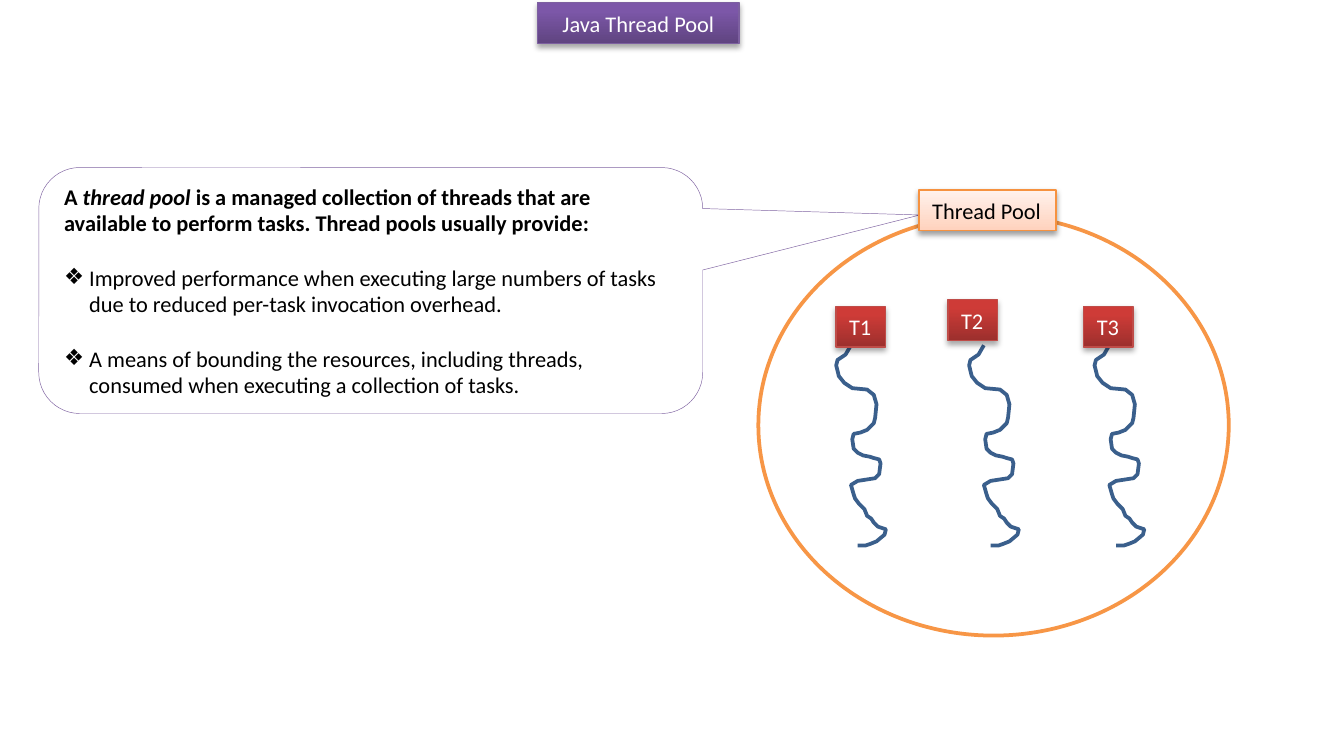
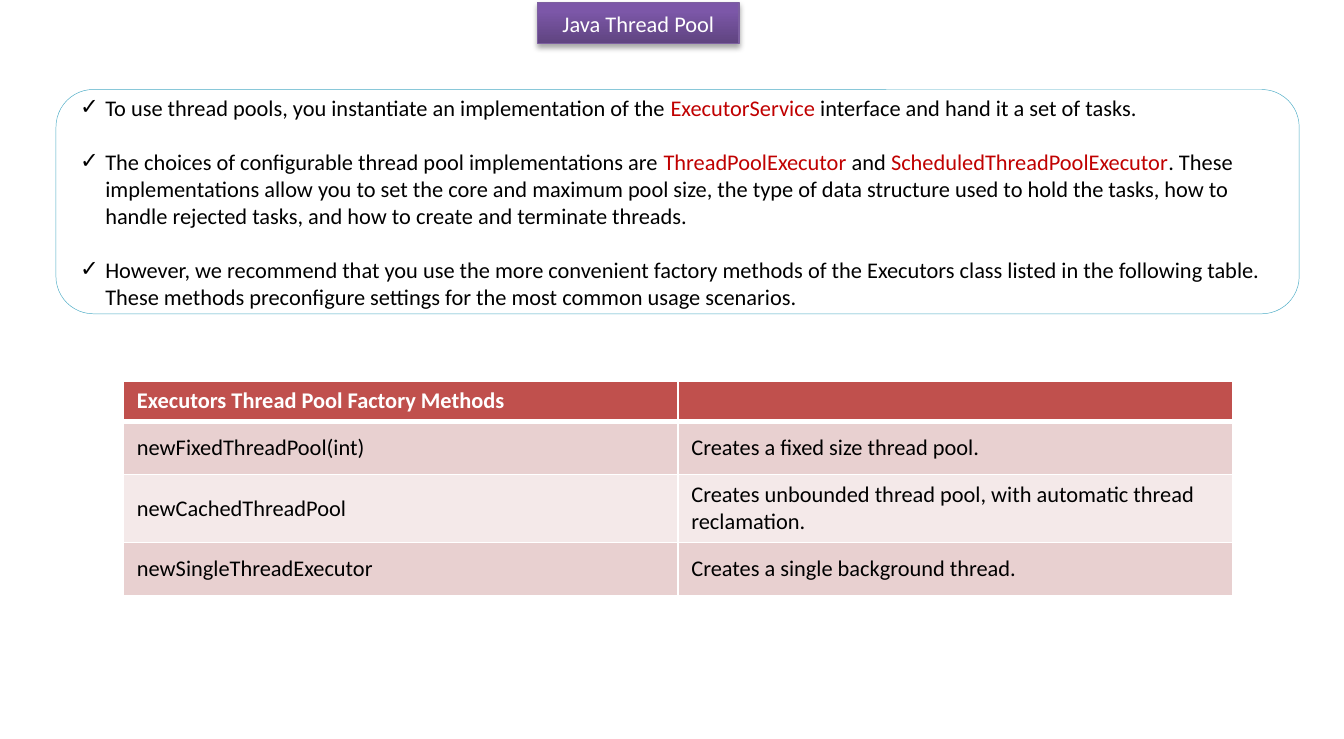
from dataclasses import dataclass

from lxml.etree import SubElement
from pptx import Presentation
from pptx.dml.color import RGBColor
from pptx.enum.shapes import MSO_SHAPE
from pptx.enum.text import MSO_ANCHOR, MSO_AUTO_SIZE, PP_ALIGN
from pptx.oxml.ns import qn
from pptx.util import Pt


@dataclass(frozen=True)
class Theme:
    font: str = "Calibri"
    size: float = 12
    gap: float = 14.6
    hang: float = 13.5
    white: str = "FFFFFF"
    black: str = "000000"
    key: str = "C00000"
    ring: str = "F79646"
    thread: str = "3A5F8C"
    call: str = "8064A2"
    panel: str = "4BACC6"
    head: str = "C0504D"
    bands: tuple = ("E8D0D0", "F4E9E9")
    purple: tuple = ("5F4480", "7C57A8", 0.8, "7D60A0", 35)
    red: tuple = ("9C2F2D", "CE3B37", 0.8, "BF4C48", 35)
    peach: tuple = ("FFD2BD", "FFF2ED", 1, "F69240", 38)


theme = Theme()
color = RGBColor.from_string


def style(para, ink, bold=False, align=PP_ALIGN.LEFT):
    para.alignment = align
    para.font.name = theme.font
    para.font.size = Pt(theme.size)
    para.font.bold = bold
    para.font.color.rgb = color(ink)


def badge(shape, text, look, ink, align=PP_ALIGN.LEFT):
    low, high, stop, edge, dim = look
    shape.fill.gradient()
    shape.fill.gradient_angle = 90
    first, last = shape.fill.gradient_stops
    first.color.rgb, first.position = color(low), 0
    last.color.rgb, last.position = color(high), stop
    shape.line.color.rgb = color(edge)
    shape.line.width = Pt(0.75)
    shape.shadow.inherit = False
    effect = shape._element.spPr.find(qn("a:effectLst"))
    shade = SubElement(effect, qn("a:outerShdw"), blurRad=str(Pt(3.1)),
                       dist=str(Pt(1.8)), dir="5400000", rotWithShape="0")
    tint = SubElement(shade, qn("a:srgbClr"), val=theme.black)
    SubElement(tint, qn("a:alpha"), val=str(dim * 1000))
    frame = shape.text_frame
    frame.text = text
    frame.auto_size = MSO_AUTO_SIZE.NONE
    frame.vertical_anchor = MSO_ANCHOR.MIDDLE
    frame.word_wrap = align == PP_ALIGN.CENTER
    style(frame.paragraphs[0], ink, align=align)


deck = Presentation()
deck.slide_width, deck.slide_height = Pt(720), Pt(396)

slides = [deck.slides.add_slide(deck.slide_layouts[5]) for _ in range(2)]
for slide in slides:
    title = slide.shapes.title
    title.left, title.top, title.width, title.height = Pt(288), Pt(1.5), Pt(108), Pt(21.8)
    badge(title, "Java Thread Pool", theme.purple, theme.white, PP_ALIGN.CENTER)
pool, usage = [slide.shapes for slide in slides]

ring = pool.add_shape(MSO_SHAPE.OVAL, Pt(406.3), Pt(115.2), Pt(252), Pt(225.4))
call = pool.add_shape(MSO_SHAPE.ROUNDED_RECTANGULAR_CALLOUT,
                      Pt(20.8), Pt(89.8), Pt(355.7), Pt(131.8))
for index, value in enumerate((0.827, -0.307, 0.167)):
    call.adjustments[index] = value
panel = usage.add_shape(MSO_SHAPE.ROUNDED_RECTANGLE, Pt(30), Pt(48), Pt(666), Pt(120.2))
for shape, edge, width in ((ring, theme.ring, 2), (call, theme.call, 0.25),
                           (panel, theme.panel, 0.25)):
    shape.shadow.inherit = False
    shape.fill.solid()
    shape.fill.fore_color.rgb = color(theme.white)
    shape.line.color.rgb = color(edge)
    shape.line.width = Pt(width)

curve = [
    (11, 0), (7, 7), (1, 11), (0, 15), (2, 23), (6, 28), (12, 32), (23, 33),
    (28, 37), (30, 44), (29, 54), (28, 58), (23, 63), (18, 65), (13, 66),
    (12, 70), (13, 77), (16, 80), (20, 82), (25, 83), (28, 84), (32, 85),
    (33, 88), (32, 96), (29, 99), (16, 101), (11, 104), (13, 111), (14, 114),
    (17, 118), (21, 122), (23, 127), (26, 129), (28, 132), (31, 135),
    (37, 137), (36, 141), (30, 146), (25, 148), (22, 149), (16, 149),
]
for left in (448, 519.2, 586.4):
    pen = pool.build_freeform(*curve[0], scale=Pt(0.72))
    pen.add_line_segments(curve[1:], close=False)
    thread = pen.convert_to_shape(Pt(left), Pt(185))
    thread.shadow.inherit = False
    thread.fill.background()
    thread.line.color.rgb = color(theme.thread)
    thread.line.width = Pt(2)

for text, left, top, width, look, ink in (
    ("T1", 447.8, 164.2, 26.6, theme.red, theme.white),
    ("T2", 507.8, 160.6, 26.6, theme.red, theme.white),
    ("T3", 580.5, 164.2, 26.6, theme.red, theme.white),
    ("Thread Pool", 492.3, 101.8, 73.5, theme.peach, theme.black),
):
    label = pool.add_shape(MSO_SHAPE.RECTANGLE, Pt(left), Pt(top), Pt(width), Pt(21.8))
    badge(label, text, look, ink)

notes = (
    (call, (
        ("", "A |thread pool| is a managed collection of threads that are available to "
             "perform tasks. Thread pools usually provide:"),
        ("❖", "Improved performance when executing large numbers of tasks due to reduced "
              "per-task invocation overhead."),
        ("❖", "A means of bounding the resources, including threads, consumed when "
              "executing a collection of tasks."),
    )),
    (panel, (
        ("✓", "To use thread pools, you instantiate an implementation of the "
              "|ExecutorService| interface and hand it a set of tasks."),
        ("✓", "The choices of configurable thread pool implementations are "
              "|ThreadPoolExecutor| and |ScheduledThreadPoolExecutor|. These "
              "implementations allow you to set the core and maximum pool size, the type "
              "of data structure used to hold the tasks, how to handle rejected tasks, "
              "and how to create and terminate threads."),
        ("✓", "However, we recommend that you use the more convenient factory methods of "
              "the Executors class listed in the following table. These methods "
              "preconfigure settings for the most common usage scenarios."),
    )),
)
for shape, items in notes:
    frame = shape.text_frame
    frame.word_wrap = True
    frame.vertical_anchor = MSO_ANCHOR.MIDDLE
    for row, (mark, text) in enumerate(items):
        para = frame.add_paragraph() if row else frame.paragraphs[0]
        if mark:
            props = para._p.get_or_add_pPr()
            props.set("marL", str(Pt(theme.hang)))
            props.set("indent", str(-Pt(theme.hang)))
            SubElement(props, qn("a:buFont"), typeface=theme.font)
            SubElement(props, qn("a:buChar"), char=mark)
        style(para, theme.black, bold=not mark)
        if row:
            para.space_before = Pt(theme.gap)
        for place, piece in enumerate(text.split("|")):
            run = para.add_run()
            run.text = piece
            if place % 2 and mark:
                run.font.color.rgb = color(theme.key)
            elif place % 2:
                run.font.italic = True

rows = (
    (21.9, "Executors Thread Pool Factory Methods", ""),
    (28.4, "newFixedThreadPool(int)", "Creates a fixed size thread pool."),
    (36.5, "newCachedThreadPool",
     "Creates unbounded thread pool, with automatic thread reclamation."),
    (28.4, "newSingleThreadExecutor", "Creates a single background thread."),
)
table = usage.add_table(len(rows), 2, Pt(66.2), Pt(204), Pt(594), Pt(115.2)).table
for row, (height, *texts) in enumerate(rows):
    table.rows[row].height = Pt(height)
    for col, text in enumerate(texts):
        cell = table.cell(row, col)
        cell.vertical_anchor = MSO_ANCHOR.MIDDLE if row else MSO_ANCHOR.TOP
        edges = cell._tc.get_or_add_tcPr()
        for side in ("lnL", "lnR", "lnT", "lnB"):
            thick = 3 if (row, side) in ((0, "lnB"), (1, "lnT")) else 1
            line = SubElement(edges, qn("a:" + side), w=str(Pt(thick)))
            paint = SubElement(line, qn("a:solidFill"))
            SubElement(paint, qn("a:srgbClr"), val=theme.white)
        cell.fill.solid()
        cell.fill.fore_color.rgb = color(theme.bands[(row - 1) % 2] if row else theme.head)
        cell.text = text
        para = cell.text_frame.paragraphs[0]
        style(para, theme.black if row else theme.white, bold=not row)
        if not text:
            SubElement(para._p, qn("a:endParaRPr"), sz=str(theme.size * 100))

deck.save("out.pptx")
